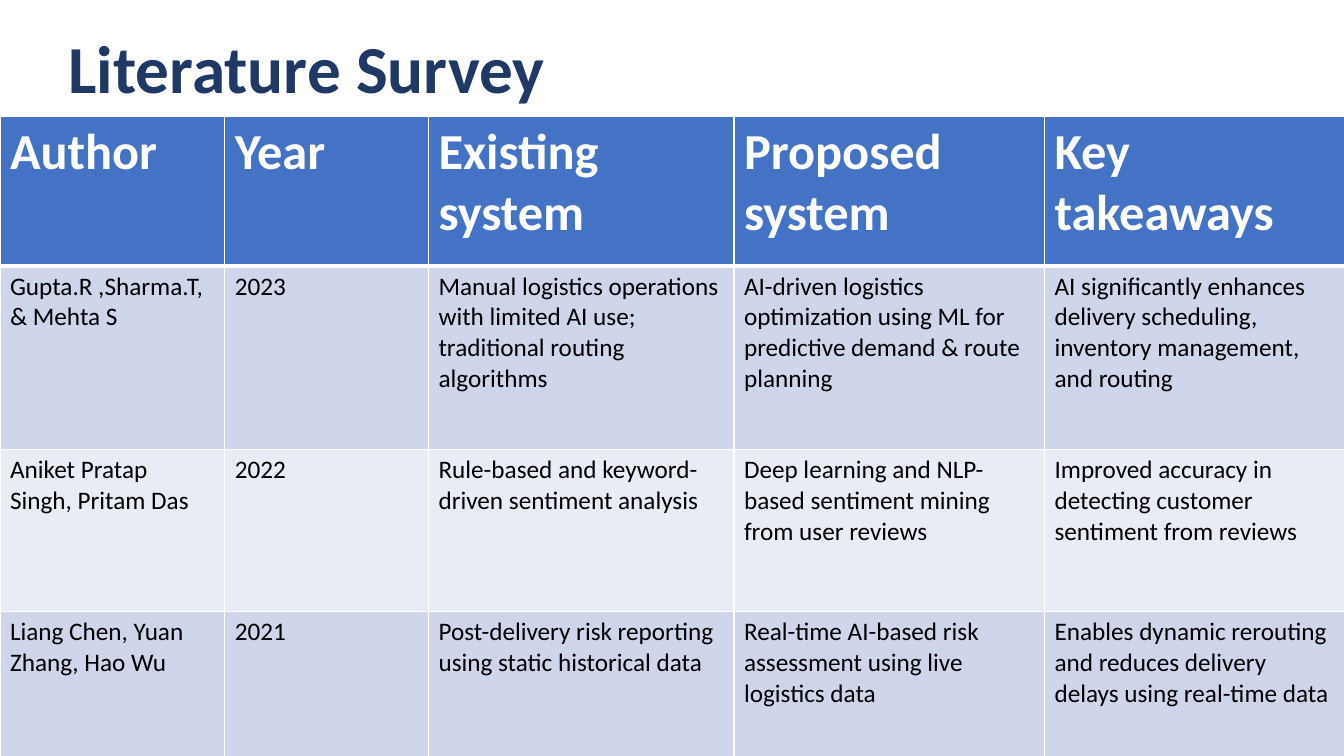
import pptx
import pptx.util
import pptx.dml.color
import pptx.enum.text
import pptx.oxml
import pptx.oxml.ns
from pptx.util import Inches

FONT = "Calibri"
WHITE, NAVY, BLUE, BLACK = "FFFFFF", "203864", "4472C4", "000000"
BANDS = ["CFD5EA", "E9EBF5"]
HEADER_SIZE, BODY_SIZE = 36, 18
COLUMN_WIDTHS = [2.23, 2.02, 3.03, 3.08, 2.98]
ROW_HEIGHTS = [1.49, 1.82, 1.61, 1.61]
HEADERS = [
    ["Author", " "],
    ["Year"],
    ["Existing", " ", "system", " "],
    ["Proposed system"],
    ["Key", " ", "takeaways", " "],
]
STUDIES = [
    ["Gupta.R ,Sharma.T, & Mehta S", "2023",
     "Manual logistics operations with limited AI use; traditional routing algorithms",
     "AI-driven logistics optimization using ML for predictive demand & route planning",
     "AI significantly enhances delivery scheduling, inventory management, and routing"],
    ["Aniket Pratap Singh, Pritam Das", "2022",
     "Rule-based and keyword-driven sentiment analysis",
     "Deep learning and NLP-based sentiment mining from user reviews",
     "Improved accuracy in detecting customer sentiment from reviews"],
    ["Liang Chen, Yuan Zhang, Hao Wu", "2021",
     "Post-delivery risk reporting using static historical data",
     "Real-time AI-based risk assessment using live logistics data",
     "Enables dynamic rerouting and reduces delivery delays using real-time data"],
]


def paint(color_format, value):
    """Set a colour from a hex string."""
    color_format.rgb = pptx.dml.color.RGBColor.from_string(value)


def add_span(para, text, size, color, bold=False):
    """Add one formatted run to a paragraph."""
    span = para.add_run()
    span.text = text
    span.font.name = FONT
    span.font.size = pptx.util.Pt(size)
    span.font.bold = bold
    paint(span.font.color, color)


def add_borders(cell, top, bottom):
    """Draw white borders, 1 point wide at the sides."""
    properties = cell._tc.get_or_add_tcPr()
    for side, points in zip("LRTB", [1, 1, top, bottom]):
        properties.append(pptx.oxml.parse_xml(
            f'<a:ln{side} {pptx.oxml.ns.nsdecls("a")} w="{pptx.util.Pt(points)}">'
            f'<a:solidFill><a:srgbClr val="{WHITE}"/></a:solidFill></a:ln{side}>'))


def fill_cell(cell, color, top, bottom):
    """Give a cell its borders and its fill."""
    add_borders(cell, top, bottom)
    cell.fill.solid()
    paint(cell.fill.fore_color, color)


def place_title(page, left, top, width, height):
    """Move and write the title placeholder."""
    box = page.shapes.title
    box.left, box.top, box.width, box.height = map(Inches, (left, top, width, height))
    box.text_frame.vertical_anchor = pptx.enum.text.MSO_ANCHOR.MIDDLE
    box.text_frame.word_wrap = True
    para = box.text_frame.paragraphs[0]
    para.alignment = pptx.enum.text.PP_ALIGN.LEFT
    para.line_spacing = 0.9
    add_span(para, "Literature Survey", 48, NAVY, True)


def place_survey(page, left, top, width, height):
    """Build the table of surveyed studies."""
    box = page.shapes.add_table(len(ROW_HEIGHTS), len(COLUMN_WIDTHS),
                                *map(Inches, (left, top, width, height)))
    table = box.table
    for column, size in zip(table.columns, COLUMN_WIDTHS):
        column.width = Inches(size)
    for row, size in zip(table.rows, ROW_HEIGHTS):
        row.height = Inches(size)
    for cell, words in zip(table.rows[0].cells, HEADERS):
        fill_cell(cell, BLUE, 1, 3)
        for word in words:
            size = BODY_SIZE if word == " " else HEADER_SIZE
            add_span(cell.text_frame.paragraphs[0], word, size, WHITE, True)
    for index, study in enumerate(STUDIES):
        for cell, text in zip(table.rows[index + 1].cells, study):
            fill_cell(cell, BANDS[index % 2], 1 if index else 3, 1)
            add_span(cell.text_frame.paragraphs[0], text, BODY_SIZE, BLACK)


def main():
    """Build and save the deck."""
    deck = pptx.Presentation()
    deck.slide_width, deck.slide_height = Inches(13.33), Inches(7.5)
    page = deck.slides.add_slide(deck.slide_layouts.get_by_name("Title Only"))
    place_title(page, 0.58, 0.17, 11.2, 1.08)
    place_survey(page, 0, 1.15, sum(COLUMN_WIDTHS), sum(ROW_HEIGHTS))
    deck.save("out.pptx")


if __name__ == "__main__":
    main()
